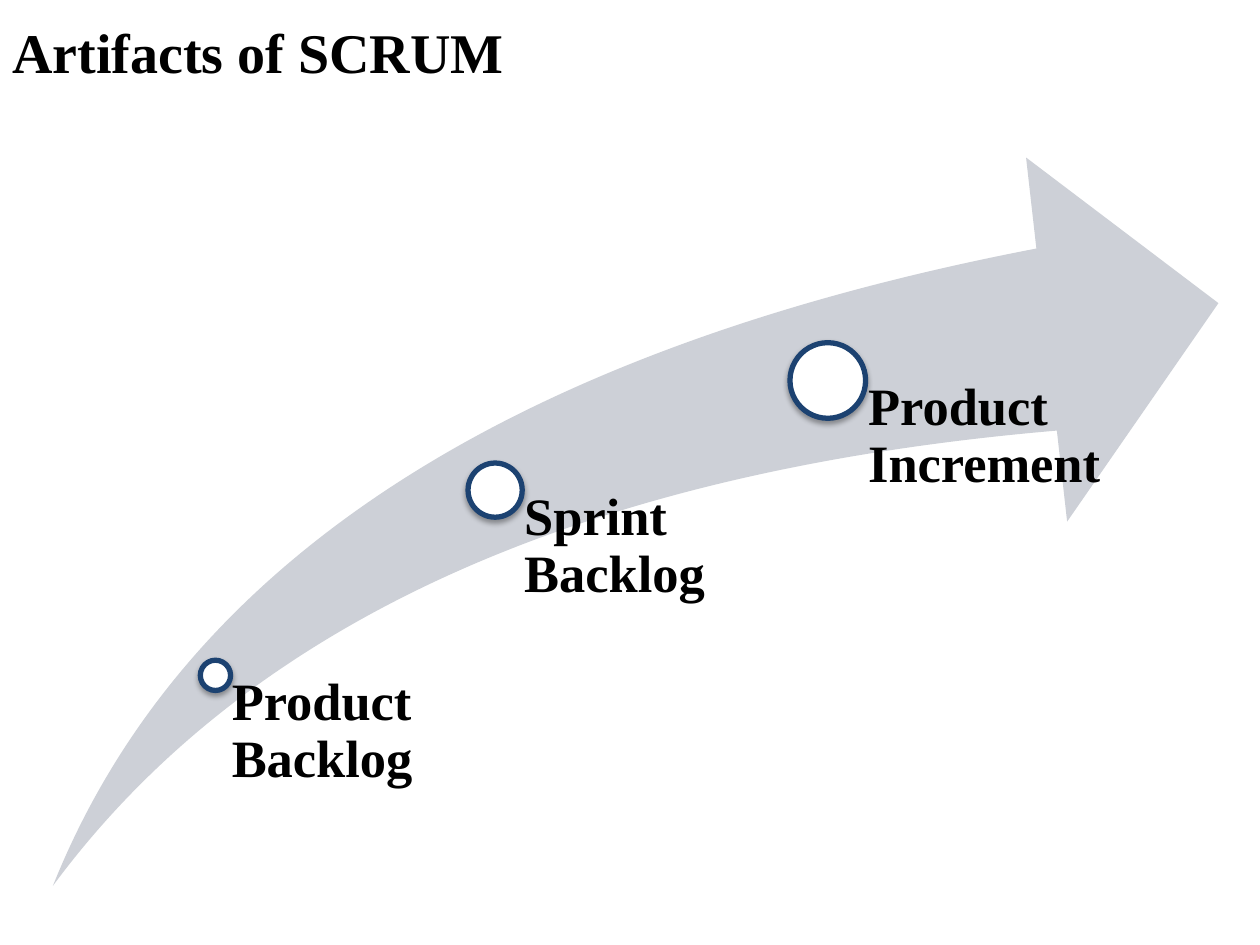
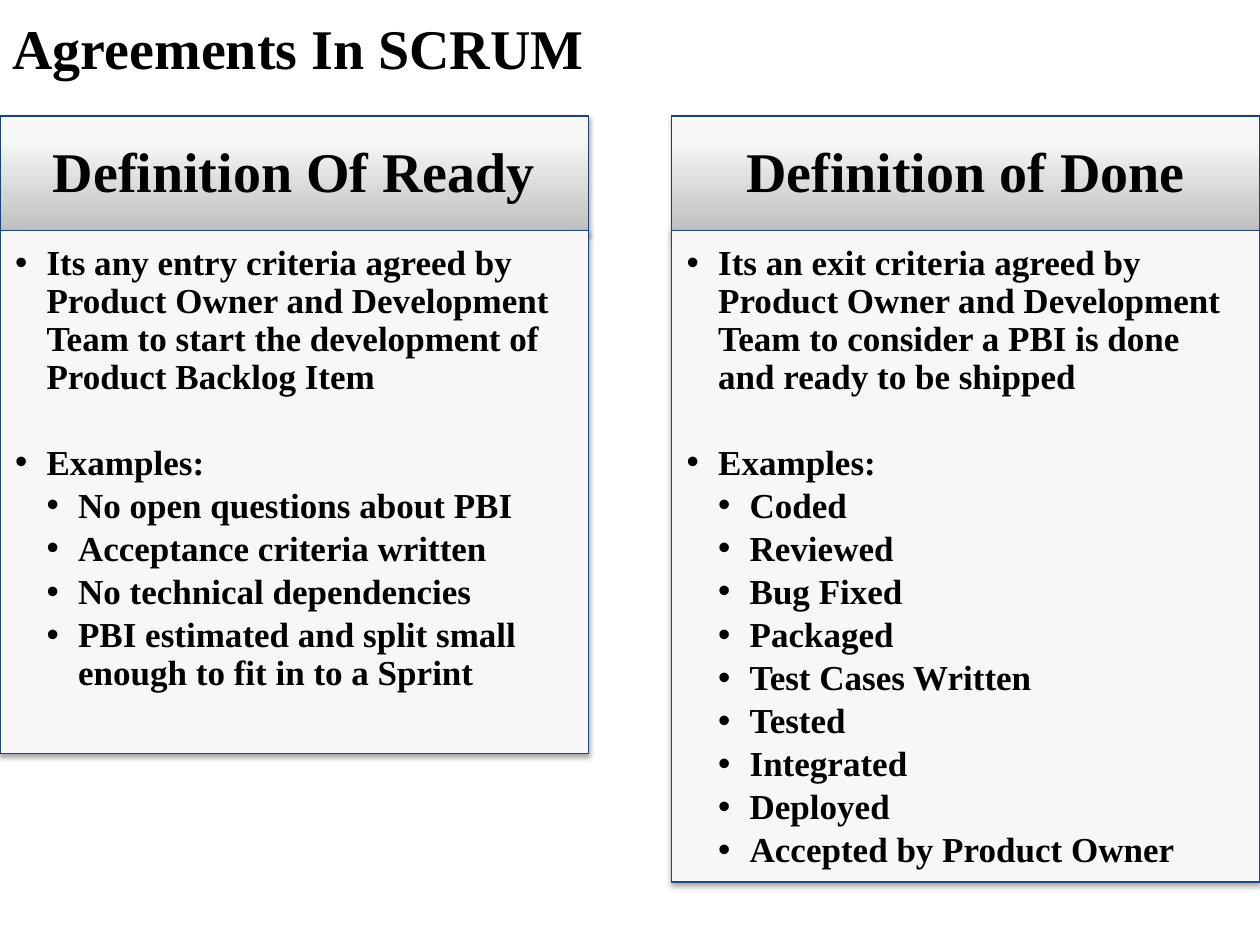
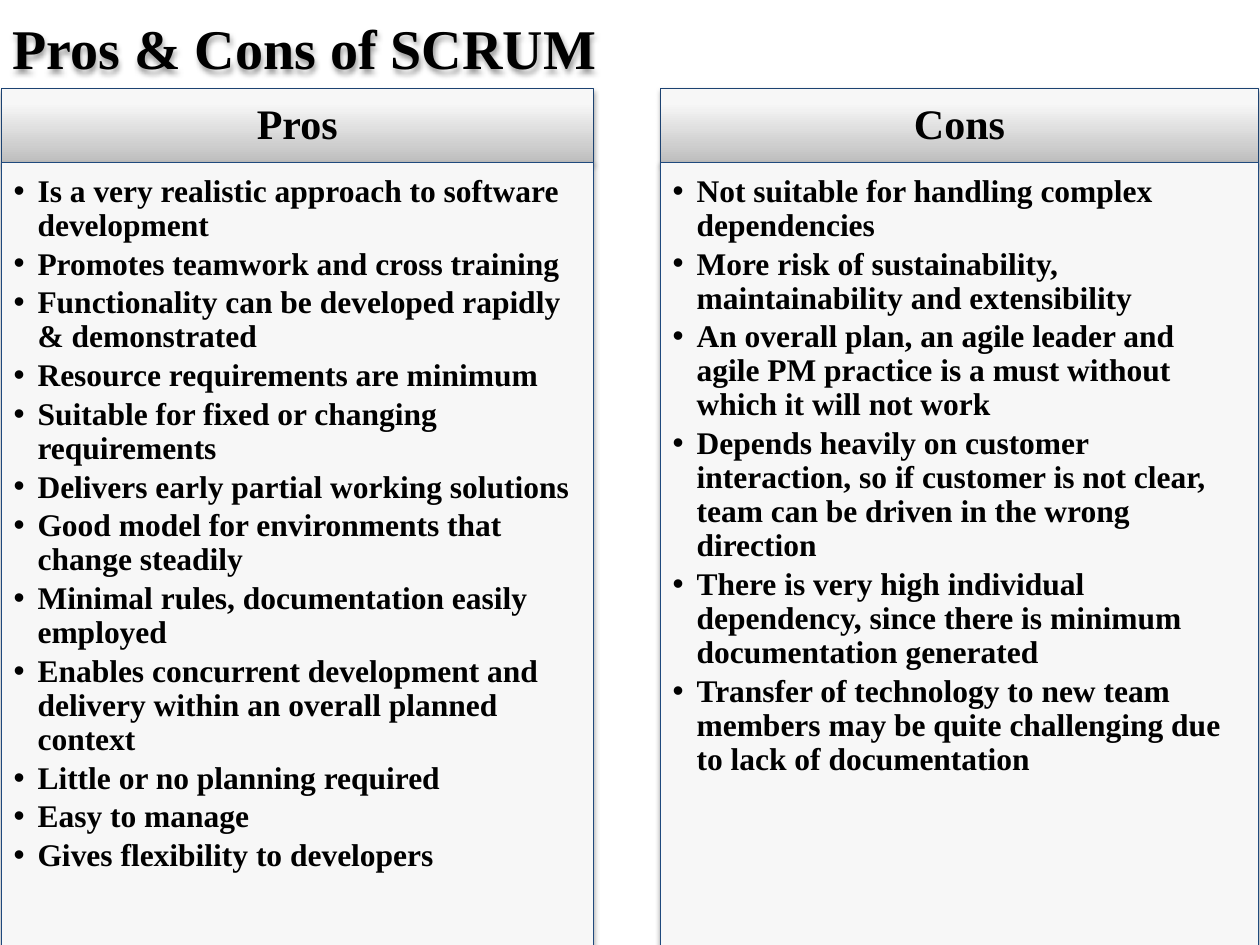
"""Builds three slides on Scrum artifacts, agreements, and pros and cons."""
from copy import deepcopy
from dataclasses import dataclass

from lxml.etree import SubElement
from pptx import Presentation
from pptx.dml.color import RGBColor
from pptx.enum.shapes import MSO_SHAPE as Preset
from pptx.enum.text import MSO_ANCHOR as Anchor, PP_ALIGN as Align
from pptx.oxml.ns import qn
from pptx.util import Inches, Pt


@dataclass(frozen=True)
class Theme:
    font: str = "Times New Roman"
    ink: str = "000000"
    white: str = "FFFFFF"
    arrow: str = "CDD0D7"
    outline: str = "1C4271"
    panel: str = "F7F7F7"
    panel_outline: str = "1F497D"
    header_stops: tuple = ((0, "BEBEBE"), (0.8, "F7F7F7"), (1, "F8F8F8"))
    title_size: int = 32
    label_size: int = 30
    line_spacing: float = 0.9
    item_gap: float = 0.15


@dataclass(frozen=True)
class PanelStyle:
    top: float
    header_height: float
    body_top: float
    header_size: int
    body_size: int
    indent: float
    insets: tuple


AGREEMENTS = PanelStyle(0.92, 0.93, 1.83, 32, 20, 0.25, (0.12, 0.12, 0.16, 0.17))
PROS_CONS = PanelStyle(0.7, 0.59, 1.29, 24, 18, 0.19, (0.1, 0.1, 0.14, 0.16))

MILESTONES = [
    ("Product Backlog", 1.71, 5.36, 0.24, 2.16, 0.13),
    ("Sprint Backlog", 3.93, 3.89, 0.43, 2.22, 0.23),
    ("Product Increment", 6.57, 3.02, 0.6, 2.22, 0.32),
]
READY = [
    "Its any entry criteria agreed by Product Owner and Development Team "
    "to start the development of Product Backlog Item",
    "Examples:",
    "No open questions about PBI",
    "Acceptance criteria written",
    "No technical dependencies",
    "PBI estimated and split small enough to fit in to a Sprint",
]
DONE = [
    "Its an exit criteria agreed by Product Owner and Development Team "
    "to consider a PBI is done and ready to be shipped",
    "Examples:",
    "Coded",
    "Reviewed",
    "Bug Fixed",
    "Packaged",
    "Test Cases Written",
    "Tested",
    "Integrated",
    "Deployed",
    "Accepted by Product Owner",
]
PROS = [
    "Is a very realistic approach to software development",
    "Promotes teamwork and cross training",
    "Functionality can be developed rapidly & demonstrated",
    "Resource requirements are minimum",
    "Suitable for fixed or changing requirements",
    "Delivers early partial working solutions",
    "Good model for environments that change steadily",
    "Minimal rules, documentation easily employed",
    "Enables concurrent development and delivery within an overall planned context",
    "Little or no planning required",
    "Easy to manage",
    "Gives flexibility to developers",
]
CONS = [
    "Not suitable for handling complex dependencies",
    "More risk of sustainability, maintainability and extensibility",
    "An overall plan, an agile leader and agile PM practice is a must "
    "without which it will not work",
    "Depends heavily on customer interaction, so if customer is not clear, "
    "team can be driven in the wrong direction",
    "There is very high individual dependency, since there is minimum "
    "documentation generated",
    "Transfer of technology to new team members may be quite challenging "
    "due to lack of documentation",
]


class Deck:
    def __init__(self, theme):
        self.theme = theme
        self.presentation = Presentation()
        self.presentation.slide_width = Inches(10)
        self.presentation.slide_height = Inches(7.5)
        self.slide = None

    def new_slide(self, title, top=0, shadow=False):
        self.slide = self.presentation.slides.add_slide(self.presentation.slide_layouts[6])
        box = self.text_box(0, top, 10, 0.8, title, self.theme.title_size,
                            (0.1, 0.11, 0.1, 0.05))
        if shadow:
            self.add_shadow(box, 38)

    def style_frame(self, frame, insets, anchor=Anchor.TOP):
        frame.word_wrap = True
        frame.vertical_anchor = anchor
        (frame.margin_left, frame.margin_top,
         frame.margin_right, frame.margin_bottom) = map(Inches, insets)

    def style_paragraph(self, paragraph, size, align=Align.LEFT):
        paragraph.alignment = align
        for run in paragraph.runs:
            run.font.name = self.theme.font
            run.font.size = Pt(size)
            run.font.bold = True
            run.font.color.rgb = RGBColor.from_string(self.theme.ink)

    def text_box(self, left, top, width, height, text, size, insets, spacing=1.0):
        box = self.slide.shapes.add_textbox(*map(Inches, (left, top, width, height)))
        self.style_frame(box.text_frame, insets)
        box.text_frame.text = text
        paragraph = box.text_frame.paragraphs[0]
        paragraph.line_spacing = spacing
        self.style_paragraph(paragraph, size)
        return box

    def add_shadow(self, shape, opacity):
        shape.shadow.inherit = False
        effects = shape._element.spPr.find(qn("a:effectLst"))
        outer = SubElement(effects, qn("a:outerShdw"), blurRad=str(Pt(3.1)),
                           dist=str(Pt(1.8)), dir="5400000", rotWithShape="0")
        color = SubElement(outer, qn("a:srgbClr"), val=self.theme.ink)
        SubElement(color, qn("a:alpha"), val=str(opacity * 1000))

    def shape(self, preset, left, top, width, height, fill, outline=None, weight=0.75):
        shape = self.slide.shapes.add_shape(preset, *map(Inches, (left, top, width, height)))
        shape.fill.solid()
        shape.fill.fore_color.rgb = RGBColor.from_string(fill)
        shape.shadow.inherit = False
        if outline:
            shape.line.color.rgb = RGBColor.from_string(outline)
            shape.line.width = Pt(weight)
            self.add_shadow(shape, 35)
        else:
            shape.line.fill.background()
        return shape

    def growth_arrow(self):
        arrow = self.shape(Preset.SWOOSH_ARROW, 0.42, 1.25, 9.25, 5.78, self.theme.arrow)
        arrow.adjustments[0] = 0.25
        arrow.adjustments[1] = 0.25

    def milestone(self, label, center_x, center_y, diameter, label_width, inset):
        self.shape(Preset.OVAL, center_x - diameter / 2, center_y - diameter / 2,
                   diameter, diameter, self.theme.white, self.theme.outline, 3)
        self.text_box(center_x, center_y, label_width, 7.03 - center_y, label,
                      self.theme.label_size, (inset, 0, 0, 0), self.theme.line_spacing)

    def header(self, left, width, text, style):
        header = self.shape(Preset.RECTANGLE, left, style.top, width, style.header_height,
                            self.theme.panel, self.theme.outline)
        header.fill.gradient()
        header.fill.gradient_angle = 90
        stops = header._element.spPr.find(qn("a:gradFill")).find(qn("a:gsLst"))
        stops.append(deepcopy(stops[0]))
        for stop, (position, color) in zip(header.fill.gradient_stops, self.theme.header_stops):
            stop.position = position
            stop.color.rgb = RGBColor.from_string(color)
        self.style_frame(header.text_frame, (0.19, 0.11, 0.19, 0.11), Anchor.MIDDLE)
        header.text_frame.text = text
        paragraph = header.text_frame.paragraphs[0]
        paragraph.line_spacing = self.theme.line_spacing
        self.style_paragraph(paragraph, style.header_size, Align.CENTER)

    def bullet(self, paragraph, size, indent, level):
        properties = paragraph._p.get_or_add_pPr()
        properties.set("marL", str(Inches(indent * (level + 1))))
        properties.set("indent", str(-Inches(indent)))
        paragraph.line_spacing = self.theme.line_spacing
        paragraph.space_after = Pt(size * self.theme.item_gap)
        SubElement(properties, qn("a:buFont"), typeface="Arial")
        SubElement(properties, qn("a:buChar"), char="•")
        self.style_paragraph(paragraph, size)

    def panel(self, left, width, body_height, title, items, style, sub_items_from=None):
        self.header(left, width, title, style)
        body = self.shape(Preset.RECTANGLE, left, style.body_top, width, body_height,
                          self.theme.panel, self.theme.panel_outline)
        frame = body.text_frame
        self.style_frame(frame, style.insets)
        frame.text = "\n".join(items)
        for index, paragraph in enumerate(frame.paragraphs):
            nested = sub_items_from is not None and index >= sub_items_from
            self.bullet(paragraph, style.body_size, style.indent, int(nested))
        if sub_items_from:
            frame.paragraphs[0].space_after = Pt(27.5)


def main():
    deck = Deck(Theme())

    deck.new_slide("Artifacts of SCRUM", top=0.03)
    deck.growth_arrow()
    for milestone in MILESTONES:
        deck.milestone(*milestone)

    deck.new_slide("Agreements In SCRUM")
    deck.panel(0, 4.67, 4.15, "Definition Of Ready", READY, AGREEMENTS, 2)
    deck.panel(5.33, 4.67, 5.17, "Definition of Done", DONE, AGREEMENTS, 2)

    deck.new_slide("Pros & Cons of SCRUM", shadow=True)
    deck.panel(0.01, 4.7, 6.26, "Pros", PROS, PROS_CONS)
    deck.panel(5.24, 4.75, 6.26, "Cons", CONS, PROS_CONS)

    deck.presentation.save("out.pptx")


if __name__ == "__main__":
    main()
